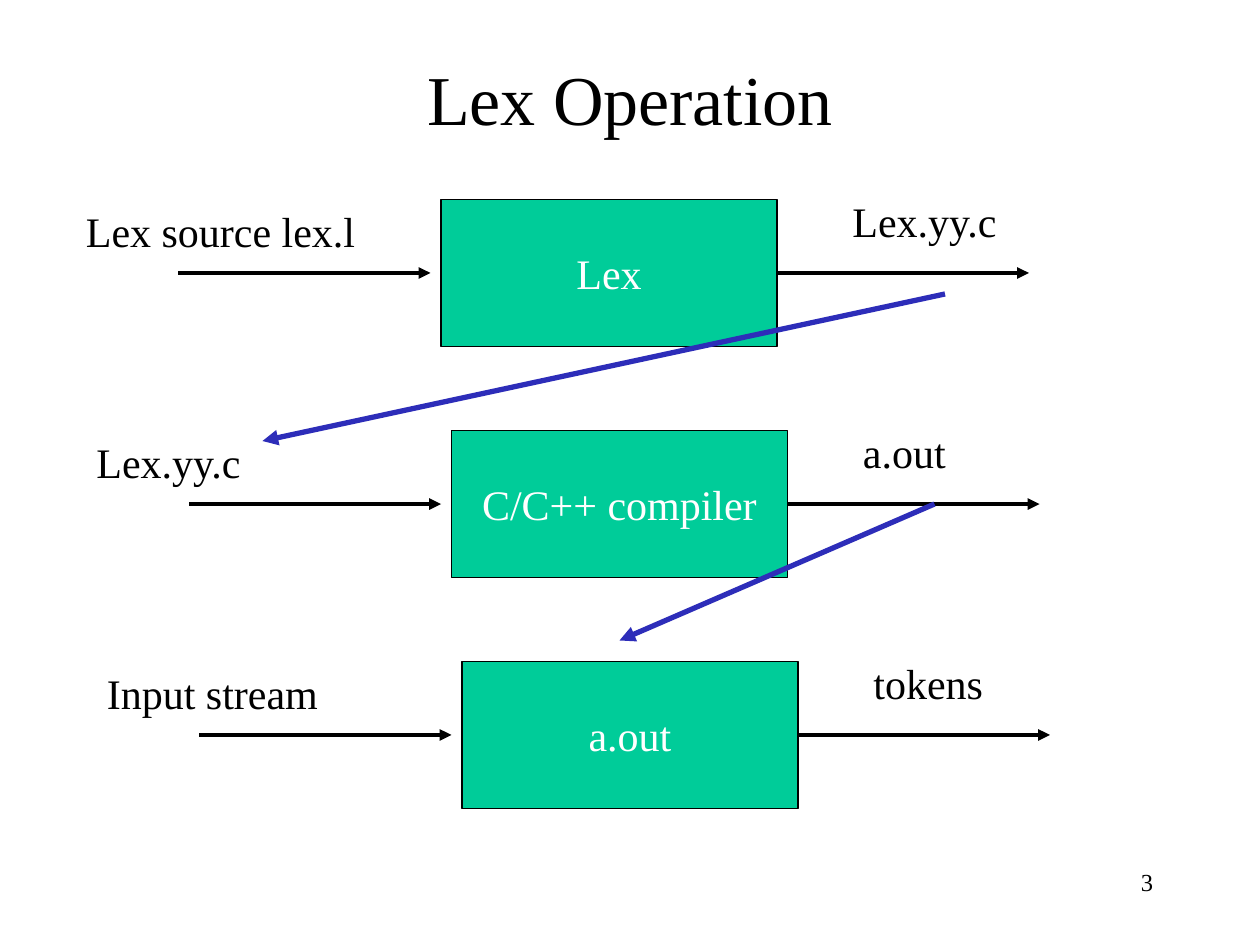
from pptx import Presentation
from pptx.dml.color import RGBColor
from pptx.enum.shapes import MSO_CONNECTOR, MSO_SHAPE
from pptx.enum.text import MSO_ANCHOR, MSO_AUTO_SIZE, PP_ALIGN
from pptx.oxml.ns import qn
from pptx.util import Pt
from lxml import etree

PX = 7620
FONT = "Times New Roman"
COLORS = {"ink": "000000", "block": "00CC99", "block_text": "FFFFFF", "link": "2D2DB9"}
LEFT, CENTER, RIGHT = PP_ALIGN.LEFT, PP_ALIGN.CENTER, PP_ALIGN.RIGHT
TOP, MIDDLE = MSO_ANCHOR.TOP, MSO_ANCHOR.MIDDLE
FIT_SHAPE = MSO_AUTO_SIZE.SHAPE_TO_FIT_TEXT
RECTANGLE = MSO_SHAPE.RECTANGLE
STRAIGHT = MSO_CONNECTOR.STRAIGHT

STAGES = [
    (("Lex source lex.l", 282), "Lex", ("Lex.yy.c", 164)),
    (("Lex.yy.c", 164), "C/C++ compiler", ("a.out", 104)),
    (("Input stream", 226), "a.out", ("tokens", 130)),
]
LINKS = [((900, 280), (250, 420)), ((890, 480), (590, 610))]


def scaled(*lengths):
    return [length * PX for length in lengths]


def color(name):
    return RGBColor.from_string(COLORS[name])


def write_text(shape, text, size=24, ink="ink", align=LEFT, anchor=TOP, wrap=False):
    frame = shape.text_frame
    frame.word_wrap = wrap
    frame.vertical_anchor = anchor
    para = frame.paragraphs[0]
    para.alignment = align
    span = para.add_run()
    span.text = text
    span.font.name = FONT
    span.font.size = Pt(size)
    span.font.color.rgb = color(ink)


def add_text(page, box, text, **text_format):
    shape = page.shapes.add_textbox(*scaled(*box))
    write_text(shape, text, **text_format)
    return shape


def add_label(page, left, top, label):
    text, width = label
    shape = add_text(page, (left, top, width, 60), text)
    shape.text_frame.auto_size = FIT_SHAPE


def add_block(page, box, text):
    block = page.shapes.add_shape(RECTANGLE, *scaled(*box))
    block.shadow.inherit = False
    block.fill.solid()
    block.fill.fore_color.rgb = color("block")
    block.line.color.rgb = color("ink")
    block.line.width = Pt(1)
    write_text(block, text, ink="block_text", align=CENTER, anchor=MIDDLE)


def add_arrow(page, start, end, ink="ink", weight=2.25):
    arrow = page.shapes.add_connector(STRAIGHT, *scaled(*start, *end))
    arrow.line.color.rgb = color(ink)
    arrow.line.width = Pt(weight)
    outline = arrow._element.spPr.find(qn("a:ln"))
    etree.SubElement(outline, qn("a:tailEnd"), type="triangle")
    etree.SubElement(arrow._element.spPr, qn("a:effectLst"))


def add_stage(page, left, top, source, tool, result):
    middle = top + 80
    add_block(page, (left + 350, top + 10, 320, 140), tool)
    for start in (left + 100, left + 670):
        add_arrow(page, (start, middle), (start + 240, middle))
    add_label(page, left, top + 10, source)
    add_label(page, left + 730, top, result)


def add_links(page):
    for start, end in LINKS:
        add_arrow(page, start, end, ink="link", weight=3)


def main():
    deck = Presentation()
    deck.slide_width, deck.slide_height = scaled(1200, 900)
    page = deck.slides.add_slide(deck.slide_layouts[6])
    add_text(page, (60, 36, 1080, 114), "Lex Operation",
             size=40, align=CENTER, anchor=MIDDLE, wrap=True)
    for index, stage in enumerate(STAGES):
        add_stage(page, 70 + 10 * index, 180 + 220 * index, *stage)
    add_links(page)
    add_text(page, (860, 820, 250, 60), "3", size=14, align=RIGHT, wrap=True)
    deck.save("out.pptx")


if __name__ == "__main__":
    main()
